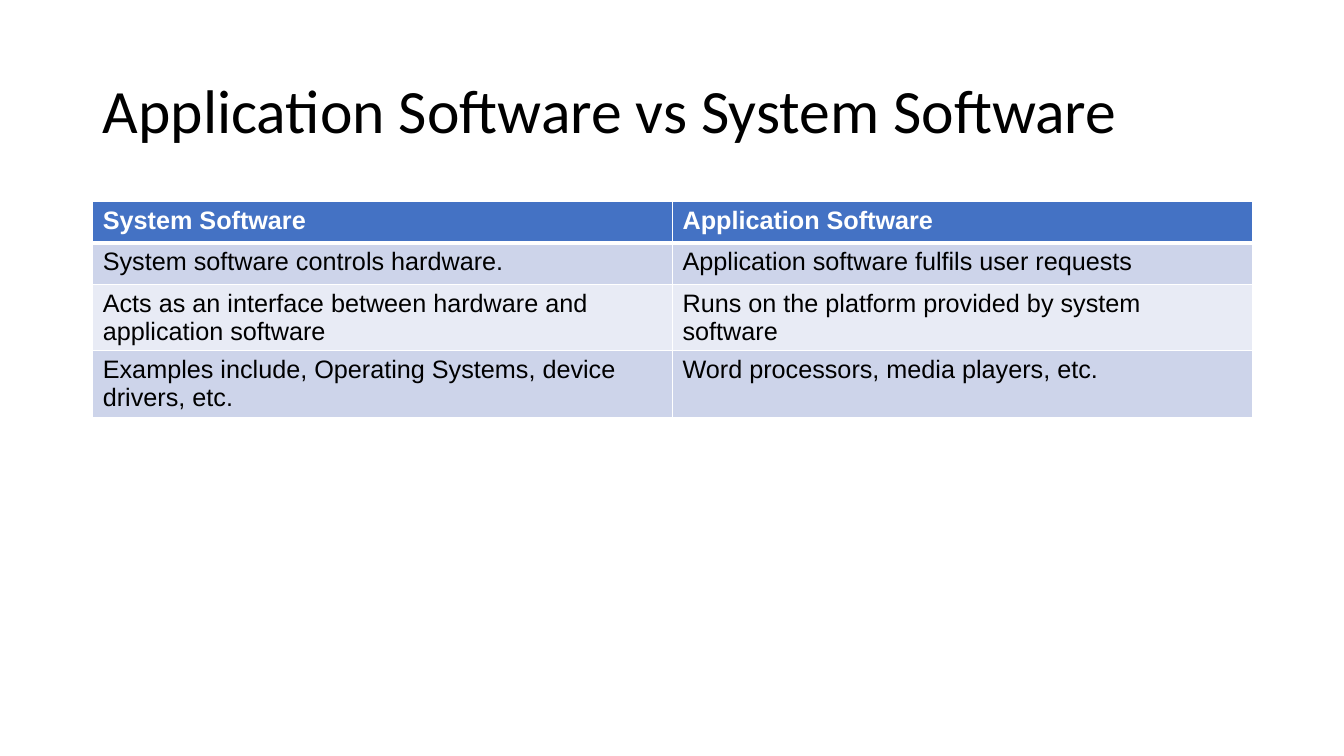
from dataclasses import dataclass

from lxml.etree import SubElement
from pptx import Presentation
from pptx.dml.color import RGBColor
from pptx.enum.text import MSO_ANCHOR, MSO_AUTO_SIZE, PP_ALIGN
from pptx.oxml.ns import qn
from pptx.util import Inches, Pt


@dataclass(frozen=True)
class Theme:
    """Colours, fonts and type sizes of the slide."""

    black: str = "000000"
    white: str = "FFFFFF"
    header: str = "4472C4"
    bands: tuple = ("CDD4EA", "E8EBF5")
    title_font: str = "Calibri"
    body_font: str = "Arial"
    title_size: int = 44
    body_size: int = 18
    thin_line: int = 1
    thick_line: int = 3


class SlideBuilder:
    """Places elements on a slide within left and right margins."""

    margin = 0.92
    column_width = 5.75
    row_height = 0.41

    def __init__(self, presentation, theme):
        """Add a title-only slide to the presentation."""
        self.theme = theme
        self.slide = presentation.slides.add_slide(presentation.slide_layouts[5])

    def style_font(self, font, name, size, color, bold=False):
        """Apply a typeface, size, colour and weight."""
        font.name, font.size, font.bold = name, Pt(size), bold
        font.color.rgb = RGBColor.from_string(color)

    def add_title(self, text):
        """Fill and format the title placeholder."""
        title = self.slide.shapes.title
        title.left, title.top = Inches(self.margin), Inches(0.4)
        title.width, title.height = Inches(2 * self.column_width), Inches(1.45)
        frame = title.text_frame
        frame.text = text
        frame.word_wrap = True
        frame.auto_size = MSO_AUTO_SIZE.NONE
        frame.vertical_anchor = MSO_ANCHOR.MIDDLE
        paragraph = frame.paragraphs[0]
        paragraph.alignment = PP_ALIGN.LEFT
        paragraph.line_spacing = 0.9
        theme = self.theme
        self.style_font(paragraph.font, theme.title_font, theme.title_size, theme.black)

    def add_border(self, cell, side, width):
        """Draw a white line along one side of a cell."""
        properties = cell._tc.get_or_add_tcPr()
        line = SubElement(properties, qn(f"a:ln{side}"), w=str(Pt(width)))
        fill = SubElement(line, qn("a:solidFill"))
        SubElement(fill, qn("a:srgbClr"), val=self.theme.white)

    def format_cell(self, cell, row):
        """Style a cell according to its row."""
        theme = self.theme
        is_header = row == 0
        thick_sides = {0: "B", 1: "T"}
        for side in "LRTB":
            is_thick = side == thick_sides.get(row)
            self.add_border(cell, side, theme.thick_line if is_thick else theme.thin_line)
        fill_color = theme.header if is_header else theme.bands[(row - 1) % 2]
        cell.fill.solid()
        cell.fill.fore_color.rgb = RGBColor.from_string(fill_color)
        font_color = theme.white if is_header else theme.black
        font = cell.text_frame.paragraphs[0].font
        self.style_font(font, theme.body_font, theme.body_size, font_color, is_header)

    def add_table(self, top, rows):
        """Add a table with a header row and banded body rows."""
        columns = len(rows[0])
        frame = self.slide.shapes.add_table(
            len(rows), columns, Inches(self.margin), Inches(top),
            Inches(columns * self.column_width), Inches(len(rows) * self.row_height),
        )
        for row, texts in enumerate(rows):
            for column, text in enumerate(texts):
                cell = frame.table.cell(row, column)
                cell.text = text
                self.format_cell(cell, row)


def main():
    """Build and save the comparison slide."""
    presentation = Presentation()
    presentation.slide_width, presentation.slide_height = Inches(13.33), Inches(7.5)
    builder = SlideBuilder(presentation, Theme())
    builder.add_title("Application Software vs System Software")
    builder.add_table(2, [
        ("System Software", "Application Software"),
        ("System software controls hardware.", "Application software fulfils user requests"),
        ("Acts as an interface between hardware and application software",
         "Runs on the platform provided by system software"),
        ("Examples include, Operating Systems, device drivers, etc.",
         "Word processors, media players, etc."),
    ])
    presentation.save("out.pptx")


if __name__ == "__main__":
    main()
